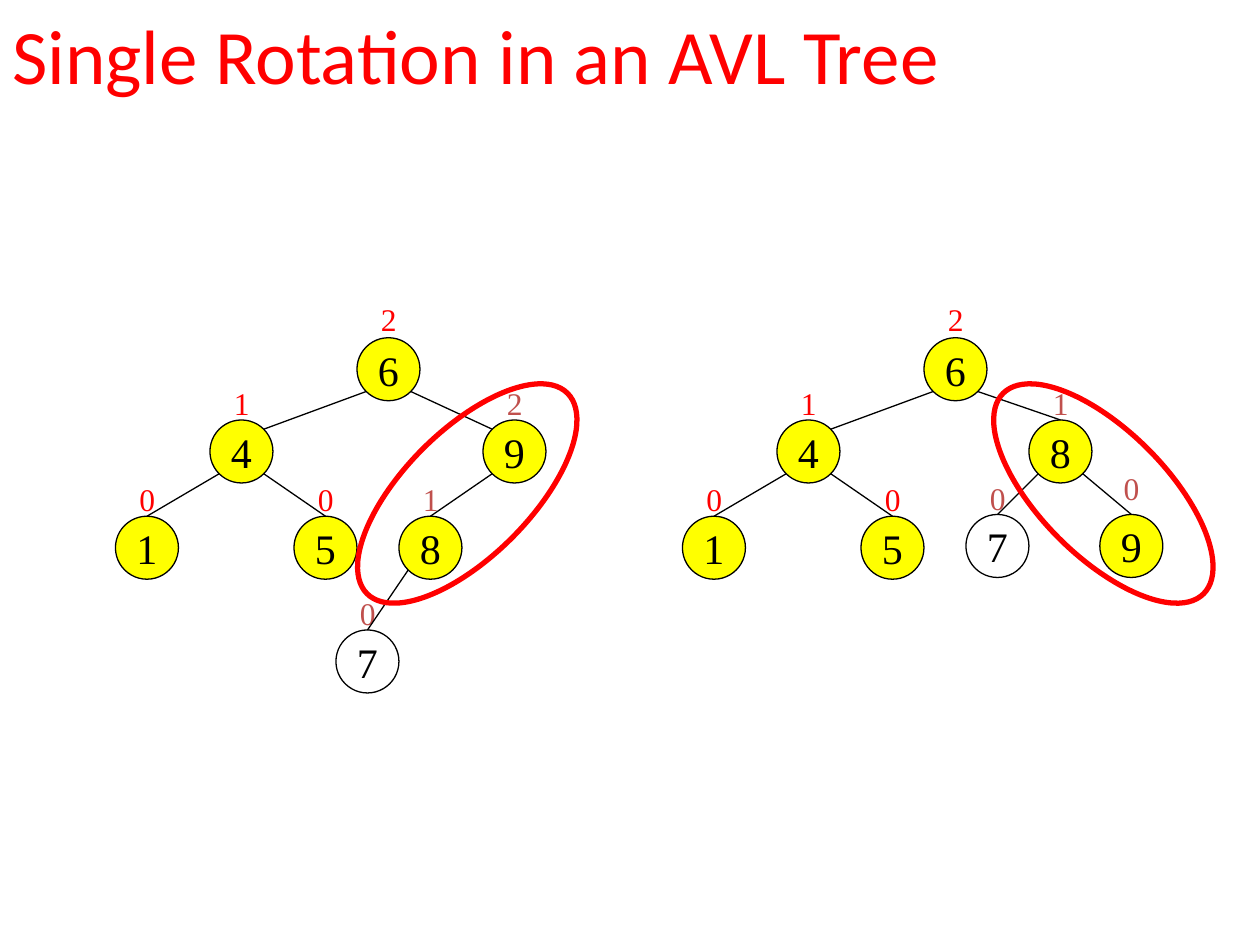
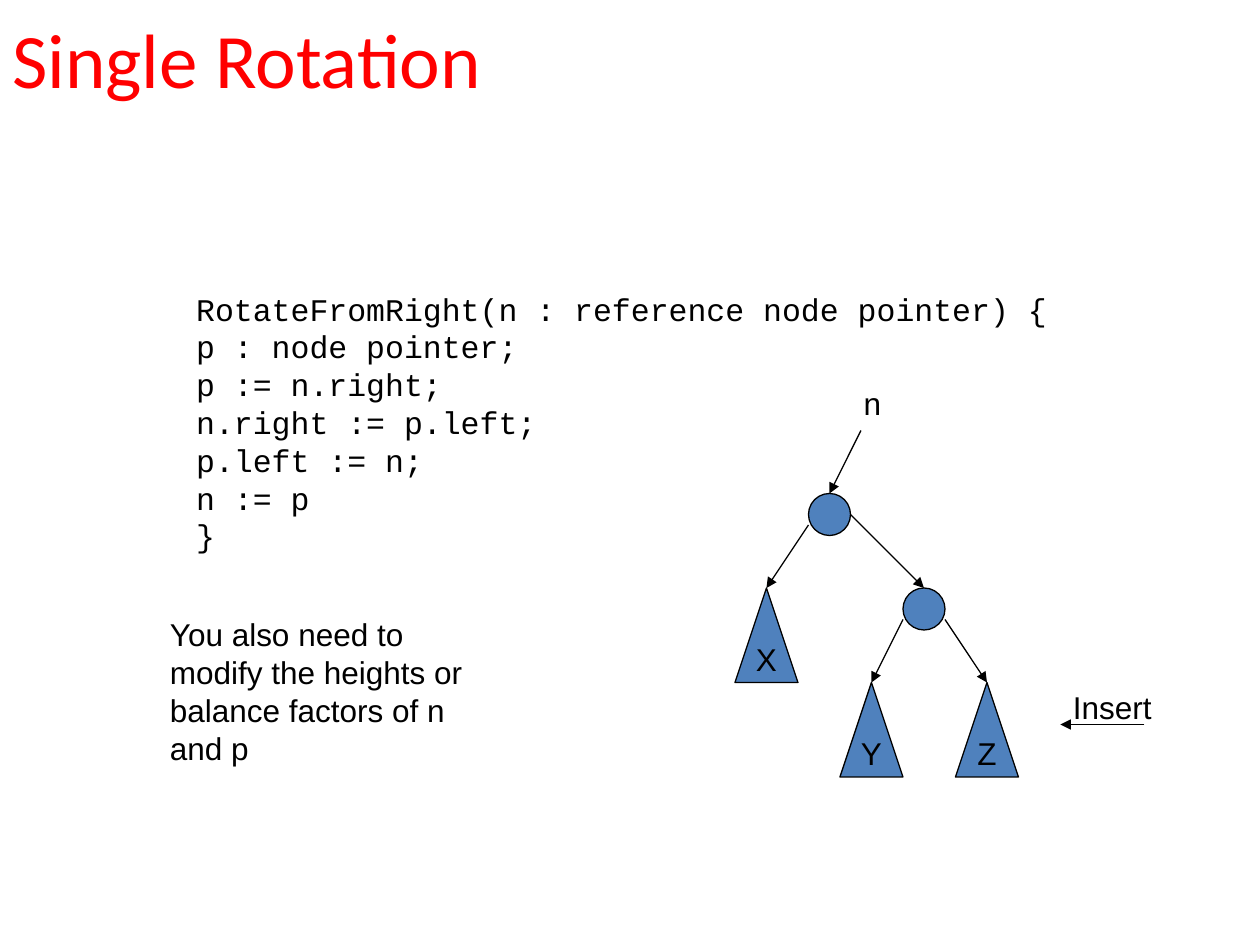
from dataclasses import dataclass
from math import sqrt

from lxml import etree
from pptx import Presentation
from pptx.dml.color import RGBColor
from pptx.enum.shapes import MSO_CONNECTOR, MSO_SHAPE
from pptx.enum.text import MSO_ANCHOR, MSO_AUTO_SIZE, PP_ALIGN
from pptx.oxml.ns import qn
from pptx.util import Pt

OVAL, TRIANGLE = MSO_SHAPE.OVAL, MSO_SHAPE.ISOSCELES_TRIANGLE
STRAIGHT = MSO_CONNECTOR.STRAIGHT
LEFT, CENTER = PP_ALIGN.LEFT, PP_ALIGN.CENTER
TOP, MIDDLE = MSO_ANCHOR.TOP, MSO_ANCHOR.MIDDLE
FIT = MSO_AUTO_SIZE.SHAPE_TO_FIT_TEXT


@dataclass(frozen=True)
class Theme:
    red: str = "FF0000"
    brick: str = "C0504D"
    yellow: str = "FFFF00"
    blue: str = "4F81BD"
    black: str = "000000"
    title_font: str = "Calibri"
    tree_font: str = "Times New Roman"
    code_font: str = "Courier New"
    body_font: str = "Arial"
    title_size: float = 44
    key_size: float = 24
    text_size: float = 18
    thin: float = 0.75
    thick: float = 3


T = Theme()

# key: (centre x, centre y, height, height colour, label rise, fill)
SHARED_NODES = {
    "6": (222, 211, "2", T.red, 25, T.yellow),
    "4": (138, 258, "1", T.red, 24, T.yellow),
    "1": (84, 313, "0", T.red, 24, T.yellow),
    "5": (186, 313, "0", T.red, 24, T.yellow),
}
SHARED_EDGES = [("6", "4", "corner"), ("4", "1", "top"), ("4", "5", "top")]
TREES = [
    {
        "left": 0,
        "nodes": {
            "9": (294, 258, "2", T.brick, 24, T.yellow),
            "8": (246, 313, "1", T.brick, 24, T.yellow),
            "7": (210, 378, "0", T.brick, 24, None),
        },
        "edges": [("6", "9", "corner"), ("9", "8", "top"), ("8", "7", "top")],
        "ring": (267, 282, 315),
    },
    {
        "left": 324,
        "nodes": {
            "8": (282, 258, "1", T.brick, 24, T.yellow),
            "9": (322.5, 312, "0", T.brick, 29.5, T.yellow),
            "7": (246, 312, "0", T.brick, 24, None),
        },
        "edges": [("6", "8", "top"), ("8", "9", "top"), ("8", "7", "top")],
        "ring": (306.5, 282, 45),
    },
]
NODE, RING_W, RING_H = 36, 162, 72
LABEL_W, LABEL_H = 23, 29

CODE = [
    "RotateFromRight(n : reference node pointer) {",
    "p : node pointer;",
    "p := n.right;",
    "n.right := p.left;",
    "p.left := n;",
    "n := p",
    "}",
]
ADVICE = "You also need to modify the heights or balance factors of n and p"
POINTERS = {"n": (474, 294), "p": (528, 348)}
SUBTREES = {"X": (438, 336), "Y": (498, 390), "Z": (564, 390)}
ARROWS = [
    ((462, 300), "X"),
    ((486, 294), "p"),
    ((516, 354), "Y"),
    ((540, 354), "Z"),
    ((492, 246), "n"),
]
DOT, SUBTREE_W, SUBTREE_H = 24, 36, 54


def write(sp, lines, font, size, color, align=LEFT, anchor=TOP, wrap=False):
    tf = sp.text_frame
    tf.word_wrap = wrap
    tf.vertical_anchor = anchor
    for i, line in enumerate(lines):
        p = tf.paragraphs[0] if i == 0 else tf.add_paragraph()
        p.text = line
        p.alignment = align
        p.font.name = font
        p.font.size = Pt(size)
        p.font.color.rgb = RGBColor.from_string(color)


def add_text(s, box, lines, font, size, color, **layout):
    sp = s.shapes.add_textbox(*map(Pt, box))
    write(sp, lines, font, size, color, **layout)
    return sp


def add_body(s, box, lines, font=T.body_font, color=T.black, **layout):
    sp = add_text(s, box, lines, font, T.text_size, color, **layout)
    sp.text_frame.auto_size = FIT


def add_outline(s, kind, box, fill=None, color=T.black, width=T.thin):
    sp = s.shapes.add_shape(kind, *map(Pt, box))
    sp.shadow.inherit = False
    if fill:
        sp.fill.solid()
        sp.fill.fore_color.rgb = RGBColor.from_string(fill)
    else:
        sp.fill.background()
    sp.line.color.rgb = RGBColor.from_string(color)
    sp.line.width = Pt(width)
    return sp


def add_line(s, start, end, target=None, arrow=False):
    sp = s.shapes.add_connector(STRAIGHT, *map(Pt, (*start, *end)))
    if target is not None:
        sp.end_connect(target, 0)
    sp.line.color.rgb = RGBColor.from_string(T.black)
    sp.line.width = Pt(T.thin)
    if arrow:
        etree.SubElement(sp.line._get_or_add_ln(), qn("a:tailEnd"), type="triangle")
    etree.SubElement(sp._element.spPr, qn("a:effectLst"))


def add_slide(prs, title, top):
    s = prs.slides.add_slide(prs.slide_layouts[6])
    add_text(s, (0, top, 648, 90), [title], T.title_font, T.title_size, T.red,
             anchor=MIDDLE, wrap=True)
    return s


def draw_tree(s, tree):
    left, r = tree["left"], NODE / 2
    nodes = {**SHARED_NODES, **tree["nodes"]}
    circles = {}
    for key, (x, y, height, color, rise, fill) in nodes.items():
        x += left
        add_body(s, (x - LABEL_W / 2, y - r - rise, LABEL_W, LABEL_H), [height],
                 T.tree_font, color, align=CENTER)
        circles[key] = add_outline(s, OVAL, (x - r, y - r, NODE, NODE), fill)
        write(circles[key], [key], T.tree_font, T.key_size, T.black, CENTER, MIDDLE)
    diagonal = r / sqrt(2)
    for parent, child, joint in SHARED_EDGES + tree["edges"]:
        (px, py), (cx, cy) = nodes[parent][:2], nodes[child][:2]
        side = diagonal if cx > px else -diagonal
        start = (left + px + side, py + diagonal)
        if joint == "top":
            add_line(s, start, (left + cx, cy - r), circles[child])
        else:
            add_line(s, start, (left + cx - side, cy - diagonal))
    x, y, angle = tree["ring"]
    ring = add_outline(s, OVAL, (left + x - RING_W / 2, y - RING_H / 2, RING_W, RING_H),
                       color=T.red, width=T.thick)
    ring.rotation = angle


def draw_pointers(s):
    tops, targets = {}, {}
    for name, (x, y) in POINTERS.items():
        tops[name] = (x, y - DOT / 2)
        targets[name] = add_outline(s, OVAL, (x - DOT / 2, y - DOT / 2, DOT, DOT), T.blue)
    for name, (x, y) in SUBTREES.items():
        tops[name] = (x, y)
        sp = add_outline(s, TRIANGLE, (x - SUBTREE_W / 2, y, SUBTREE_W, SUBTREE_H), T.blue)
        write(sp, [name], T.body_font, T.text_size, T.black, CENTER, MIDDLE)
        targets[name] = sp
    for start, name in ARROWS:
        add_line(s, start, tops[name], targets[name], arrow=True)


def main():
    prs = Presentation()
    prs.slide_width, prs.slide_height = Pt(720), Pt(540)

    s = add_slide(prs, "Single Rotation in an AVL Tree", -14.4)
    for tree in TREES:
        draw_tree(s, tree)

    s = add_slide(prs, "Single Rotation", -12)
    add_body(s, (105, 162, 500.4, 158.4), CODE, T.code_font)
    draw_pointers(s)
    add_body(s, (486.5, 216, 24.5, 29), ["n"])
    add_body(s, (90, 348, 192, 93.6), [ADVICE], wrap=True)
    add_line(s, (654, 414), (606, 414), arrow=True)
    add_body(s, (606, 389.5, 72, 29), ["Insert"], wrap=True)

    prs.save("out.pptx")


if __name__ == "__main__":
    main()
